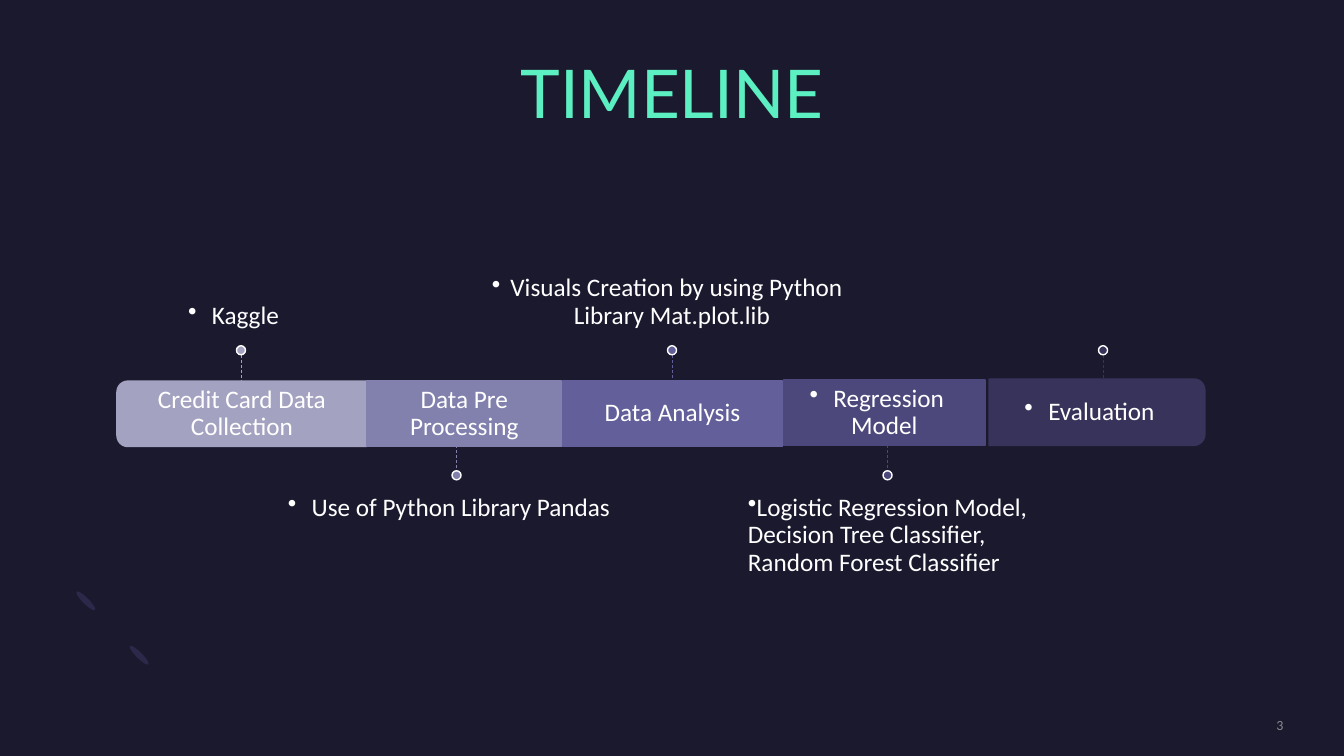
from dataclasses import dataclass

from lxml.etree import SubElement
from pptx import Presentation
from pptx.dml.color import RGBColor
from pptx.enum.dml import MSO_LINE
from pptx.enum.shapes import MSO_CONNECTOR, MSO_SHAPE
from pptx.enum.text import MSO_ANCHOR, MSO_AUTO_SIZE, PP_ALIGN
from pptx.oxml.ns import qn
from pptx.util import Inches, Pt


@dataclass(frozen=True)
class Theme:
    background: str = "1B192E"
    accent: str = "5BEFC1"
    text: str = "FFFFFF"
    number: str = "8A8A8E"
    leaf: str = "2C284A"
    arc: str = "7771B2"
    title_font: str = "Lato"
    body_font: str = "Calibri"
    title_size: int = 48
    body_size: int = 18
    number_size: int = 10


@dataclass(frozen=True)
class Box:
    left: float
    top: float
    width: float
    height: float

    def emu(self) -> tuple:
        return tuple(Inches(v) for v in (self.left, self.top, self.width, self.height))

    def turned(self) -> "Box":
        """The box that covers this one after a quarter turn."""
        shift = (self.width - self.height) / 2
        return Box(self.left + shift, self.top - shift, self.height, self.width)


@dataclass(frozen=True)
class Stage:
    label: str
    color: str
    bar: Box
    note: str = ""
    rotation: int = 0
    label_bullet: bool = False
    note_width: float = 3.57
    note_indent: float = 0
    note_align: PP_ALIGN = PP_ALIGN.CENTER


THEME = Theme()
STAGES = [
    Stage("Credit Card Data Collection", "A3A3C1", Box(1.16, 3.78, 2.48, 0.65),
          "Kaggle", rotation=270),
    Stage("Data Pre Processing", "8281AE", Box(3.64, 3.78, 1.93, 0.65),
          "Use of Python Library Pandas"),
    Stage("Data Analysis", "625F9A", Box(5.58, 3.78, 2.18, 0.65),
          "Visuals Creation by using Python Library Mat.plot.lib"),
    Stage("Regression Model", "4C487B", Box(7.77, 3.77, 2, 0.65),
          "Logistic Regression Model, Decision Tree Classifier, Random Forest Classifier",
          label_bullet=True, note_width=3.23, note_indent=0.23, note_align=PP_ALIGN.LEFT),
    Stage("Evaluation", "37335B", Box(9.81, 3.76, 2.14, 0.66),
          rotation=90, label_bullet=True),
]
FIRST_MARKER, MARKER_PITCH, DOT = 2.39, 2.1375, 0.09
NOTE_HEIGHT, PADDING = 1.55, 0.15
LEAVES = [Box(1.35, 6.37, 0.06, 0.26), Box(0.82, 5.83, 0.06, 0.26)]
ARC_START = (0.76, 6.59)
ARC_CURVES = [
    [(0.56, 6.39), (0.58, 6.05), (0.81, 5.82)],
    [(0.87, 5.88), (0.93, 5.94), (0.99, 6)],
    [(0.87, 6.11), (0.86, 6.29), (0.96, 6.38)],
    [(1.06, 6.48), (1.23, 6.47), (1.35, 6.36)],
    [(1.41, 6.42), (1.46, 6.48), (1.52, 6.54)],
    [(1.3, 6.76), (0.95, 6.79), (0.76, 6.59)],
]


def rgb(color: str) -> RGBColor:
    return RGBColor.from_string(color)


def write(frame, text: str, align=PP_ALIGN.CENTER, anchor=MSO_ANCHOR.TOP,
          margins=(0, 0, 0, 0), bullet=False, size=THEME.body_size,
          font=THEME.body_font, color=THEME.text) -> None:
    """Fill a text frame; margins run left, top, right, bottom."""
    frame.word_wrap = True
    frame.auto_size = MSO_AUTO_SIZE.NONE
    frame.vertical_anchor = anchor
    (frame.margin_left, frame.margin_top,
     frame.margin_right, frame.margin_bottom) = map(Inches, margins)
    paragraph = frame.paragraphs[0]
    paragraph.alignment = align
    paragraph.line_spacing = 0.9
    if bullet:
        SubElement(paragraph._p.get_or_add_pPr(), qn("a:buChar")).set("char", "•")
    run = paragraph.add_run()
    run.text = text
    run.font.name = font
    run.font.size = Pt(size)
    run.font.color.rgb = rgb(color)


def add_filled(slide, kind: MSO_SHAPE, box: Box, fill: str, line: str = "", rotation=0):
    shape = slide.shapes.add_shape(kind, *box.emu())
    shape.shadow.inherit = False
    shape.rotation = rotation
    shape.fill.solid()
    shape.fill.fore_color.rgb = rgb(fill)
    if line:
        shape.line.color.rgb = rgb(line)
        shape.line.width = Pt(1)
    else:
        shape.line.fill.background()
    return shape


def add_arc(slide) -> None:
    """Faint curved band, with each Bezier curve sampled as short lines."""
    points, start, steps = [], ARC_START, 12
    for first, second, end in ARC_CURVES:
        for step in range(1, steps + 1):
            t = step / steps
            points.append(tuple(
                (1 - t) ** 3 * a + 3 * (1 - t) ** 2 * t * b + 3 * (1 - t) * t * t * c + t ** 3 * d
                for a, b, c, d in zip(start, first, second, end)))
        start = end
    builder = slide.shapes.build_freeform(*ARC_START, scale=Inches(1))
    builder.add_line_segments(points, close=True)
    arc = builder.convert_to_shape()
    arc.shadow.inherit = False
    arc.line.fill.background()
    arc.fill.solid()
    arc.fill.fore_color.rgb = rgb(THEME.arc)
    color = arc._element.spPr.find(qn("a:solidFill"))[0]
    SubElement(color, qn("a:alpha")).set("val", "2000")


def add_bar(slide, stage: Stage) -> None:
    if stage.rotation:
        add_filled(slide, MSO_SHAPE.ROUND_2_SAME_RECTANGLE, stage.bar.turned(),
                   stage.color, stage.color, stage.rotation)
        holder = slide.shapes.add_textbox(*stage.bar.emu())
    else:
        holder = add_filled(slide, MSO_SHAPE.RECTANGLE, stage.bar, stage.color, stage.color)
    write(holder.text_frame, stage.label, anchor=MSO_ANCHOR.MIDDLE,
          margins=(PADDING,) * 4, bullet=stage.label_bullet)


def add_marker(slide, stage: Stage, center: float, above: bool) -> None:
    """Dashed stem, dot and note, above or below the bar."""
    stem_top, dot_top, note_top = (3.52, 3.43, 1.87) if above else (4.32, 4.67, 4.76)
    stem = slide.shapes.add_connector(
        MSO_CONNECTOR.STRAIGHT, Inches(center), Inches(stem_top),
        Inches(center), Inches(stem_top + 0.35))
    stem.line.color.rgb = rgb(stage.color)
    stem.line.width = Pt(0.5)
    stem.line.dash_style = MSO_LINE.DASH
    SubElement(stem._element.spPr, qn("a:effectLst"))
    add_filled(slide, MSO_SHAPE.OVAL, Box(center - DOT / 2, dot_top, DOT, DOT),
               stage.color, THEME.text)
    if stage.note:
        box = Box(center - stage.note_width / 2, note_top, stage.note_width, NOTE_HEIGHT)
        note = slide.shapes.add_textbox(*box.emu())
        write(note.text_frame, stage.note, stage.note_align,
              MSO_ANCHOR.BOTTOM if above else MSO_ANCHOR.TOP,
              (stage.note_indent, 0 if above else PADDING, 0, PADDING if above else 0),
              bullet=True)


def main() -> None:
    presentation = Presentation()
    presentation.slide_width, presentation.slide_height = Inches(13.33), Inches(7.5)
    slide = presentation.slides.add_slide(presentation.slide_layouts[5])
    slide.background.fill.solid()
    slide.background.fill.fore_color.rgb = rgb(THEME.background)

    for leaf in LEAVES:
        add_filled(slide, MSO_SHAPE.OVAL, leaf, THEME.leaf, rotation=135)
    add_arc(slide)

    title = slide.shapes.title
    title.left, title.top, title.width, title.height = Box(0.6, 0.6, 12.13, 0.8).emu()
    write(title.text_frame, "TIMELINE", size=THEME.title_size,
          font=THEME.title_font, color=THEME.accent)

    for index, stage in enumerate(STAGES):
        add_bar(slide, stage)
        add_marker(slide, stage, FIRST_MARKER + index * MARKER_PITCH, above=index % 2 == 0)

    number = slide.shapes.add_textbox(*Box(10.88, 7.12, 1.85, 0.17).emu())
    write(number.text_frame, "3", PP_ALIGN.RIGHT, MSO_ANCHOR.MIDDLE,
          size=THEME.number_size, color=THEME.number)
    presentation.save("out.pptx")


if __name__ == "__main__":
    main()
